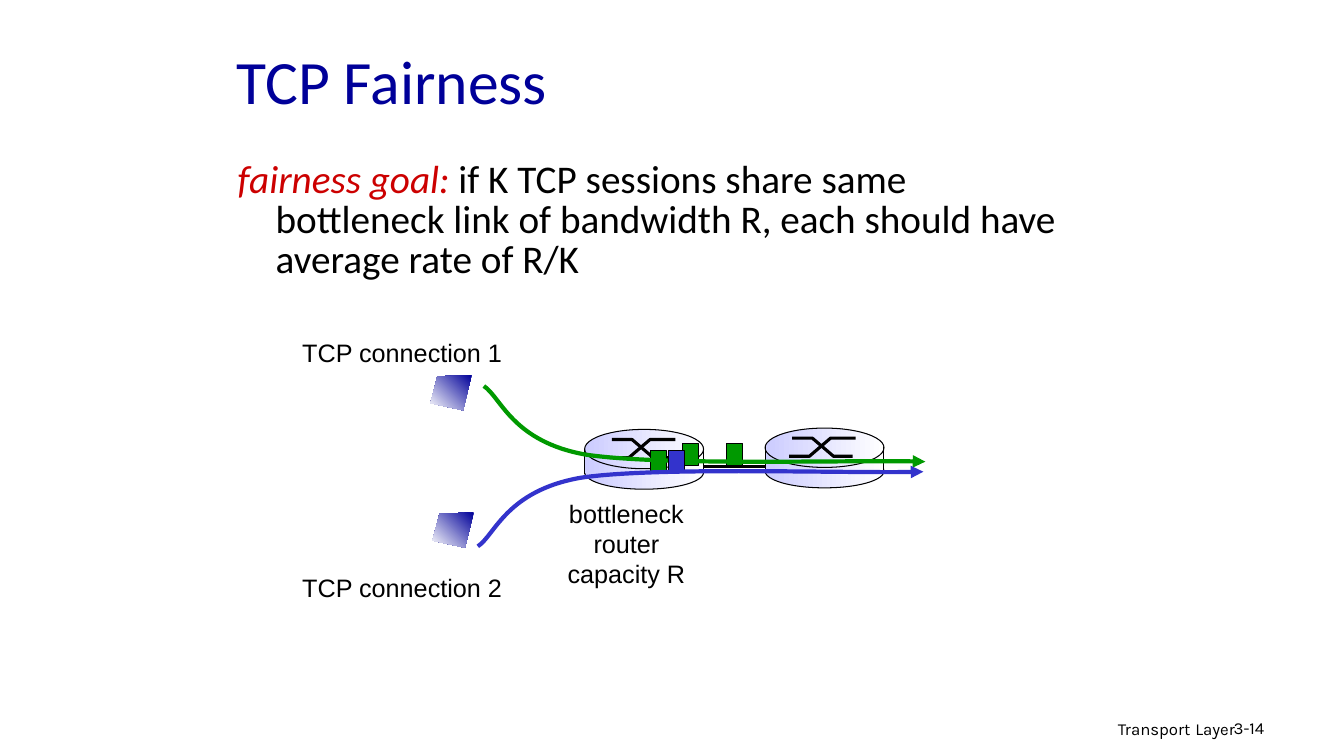
"""Build the TCP fairness slide: two connections sharing a bottleneck router."""
from dataclasses import dataclass
from typing import Optional

from lxml.etree import SubElement
from pptx import Presentation
from pptx.dml.color import RGBColor
from pptx.enum.shapes import MSO_CONNECTOR as Connector, MSO_SHAPE as Preset
from pptx.enum.text import MSO_ANCHOR as Anchor, MSO_AUTO_SIZE as AutoSize, PP_ALIGN as Align
from pptx.oxml.ns import qn
from pptx.util import Inches, Pt

COLUMNS, ROWS = 40, 22.5
CELL = Inches(1 / 3)
COLORS = {
    "black": "000000", "white": "FFFFFF", "lavender": "CCCCFF", "navy": "000099",
    "red": "CC0000", "green": "009900", "blue": "3333CC",
}
Point = tuple[float, float]


@dataclass(frozen=True)
class Span:
    text: str
    size: float
    font: str
    color: str = "black"
    italic: bool = False


@dataclass(frozen=True)
class Label:
    left: float
    top: float
    width: float
    height: float
    paragraphs: tuple[tuple[Span, ...], ...]
    align: Align = Align.LEFT
    anchor: Anchor = Anchor.TOP
    wrap: bool = True
    hanging: float = 0
    spacing: float = 1


@dataclass(frozen=True)
class Packet:
    left: float
    top: float
    color: str


@dataclass(frozen=True)
class Flow:
    points: tuple[Point, ...]
    color: str


def caption(*lines: str) -> tuple[tuple[Span, ...], ...]:
    return tuple((Span(line, 18, "Arial"),) for line in lines)


LABELS = (
    Label(24.39, 21.15, 12.66, 0.93, ((
        Span("Transport", 12, "Karla"), Span(" ", 14, "Karla"), Span("Layer", 12, "Karla")),),
        align=Align.RIGHT),
    Label(36.42, 21.21, 2.97, 0.9, ((Span("3-14", 12, "Karla"),),)),
    Label(6.75, 0.51, 25.5, 3.75, ((Span("TCP Fairness", 44, "Calibri", "navy"),),),
          anchor=Anchor.MIDDLE),
    Label(6.78, 4.65, 25, 7.2, ((
        Span("fairness goal:", 28, "Calibri", "red", True),
        Span(" if K TCP sessions share same bottleneck link of bandwidth R, "
             "each should have average rate of R/K", 28, "Calibri")),),
        hanging=1.13, spacing=0.85),
    Label(8.7, 9.9, 6.57, 1.2, caption("TCP connection 1"), wrap=False),
    Label(8.7, 16.89, 6.57, 1.2, caption("TCP connection 2"), wrap=False),
    Label(16.59, 14.67, 4.11, 3, caption("bottleneck", "router", "capacity R"),
          align=Align.CENTER, wrap=False),
)
ROUTERS: tuple[Point, ...] = ((17.4, 12.78), (22.77, 12.74))
ROUTER_WIDTH = 3.54
ROUTER_PARTS = (
    (Preset.OVAL, 0.78, 1, "black"),
    (Preset.RECTANGLE, 0.69, 0.6, None),
    (Preset.OVAL, 0, 1.17, "black"),
)
CROSSING = (
    ((0.72, 0.84), (1.32, 0.84), (1.95, 0.3), (2.7, 0.3)),
    ((0.81, 0.3), (1.41, 0.3), (2.04, 0.84), (2.61, 0.84)),
)
SCREENS: tuple[Point, ...] = ((12.81, 11.16), (12.87, 15.25))
SCREEN_OUTLINE = ((1.23, 0), (0.21, 0.04), (0, 0.84), (0.97, 1.05))
GREEN_PACKETS = (
    Packet(21.63, 13.2, "green"), Packet(19.35, 13.41, "green"), Packet(20.31, 13.2, "green"))
BLUE_PACKET = Packet(19.89, 13.41, "blue")
GREEN_FLOW = Flow((
    (14.4, 11.49), (14.91, 11.82), (15.24, 13.14), (17.43, 13.53),
    (19.62, 13.86), (25.44, 13.68), (27.54, 13.74)), "green")
BLUE_FLOW = Flow((
    (14.22, 16.26), (14.73, 15.93), (15.06, 14.61), (17.28, 14.22),
    (19.47, 13.89), (25.35, 14.1), (27.48, 14.04)), "blue")


def cells(count: float) -> int:
    return round(count * CELL)


def rgb(name: str) -> RGBColor:
    return RGBColor.from_string(COLORS[name])


def paint_line(shape, color: Optional[str], width: float = 0.75) -> None:
    if color is None:
        shape.line.fill.background()
        return
    shape.line.color.rgb = rgb(color)
    shape.line.width = Pt(width)


def paint_gradient(shape, start: str, end: str, angle: float) -> None:
    shape.fill.gradient()
    shape.fill.gradient_angle = angle
    for stop, color in zip(shape.fill.gradient_stops, (start, end)):
        stop.color.rgb = rgb(color)


def add_label(page, label: Label) -> None:
    box = page.shapes.add_textbox(
        *map(cells, (label.left, label.top, label.width, label.height)))
    frame = box.text_frame
    frame.word_wrap = label.wrap
    frame.vertical_anchor = label.anchor
    frame.auto_size = AutoSize.NONE if label.wrap else AutoSize.SHAPE_TO_FIT_TEXT
    for index, spans in enumerate(label.paragraphs):
        para = frame.add_paragraph() if index else frame.paragraphs[0]
        para.alignment = label.align
        para.line_spacing = label.spacing
        if label.hanging:
            properties = para._p.get_or_add_pPr()
            properties.set("marL", str(cells(label.hanging)))
            properties.set("indent", str(-cells(label.hanging)))
        for span in spans:
            run = para.add_run()
            run.text = span.text
            run.font.size = Pt(span.size)
            run.font.name = span.font
            run.font.italic = span.italic
            run.font.color.rgb = rgb(span.color)


def add_line(shapes, start: Point, end: Point, width: float) -> None:
    line = shapes.add_connector(Connector.STRAIGHT, *map(cells, start + end))
    paint_line(line, "black", width)
    SubElement(line._element.spPr, qn("a:effectLst"))


def add_outline(shapes, points: tuple[Point, ...], origin: Point = (0, 0), close: bool = False):
    corners = [(cells(origin[0] + x), cells(origin[1] + y)) for x, y in points]
    builder = shapes.build_freeform(*corners[0])
    builder.add_line_segments(corners[1:], close=close)
    outline = builder.convert_to_shape()
    outline.shadow.inherit = False
    if not close:
        outline.fill.background()
    return outline


def add_router(page, origin: Point) -> None:
    left, top = origin
    shapes = page.shapes.add_group_shape().shapes
    for preset, drop, height, edge in ROUTER_PARTS:
        part = shapes.add_shape(preset, *map(cells, (left, top + drop, ROUTER_WIDTH, height)))
        part.shadow.inherit = False
        paint_gradient(part, "lavender", "white", 0)
        paint_line(part, edge)
    for stroke in CROSSING:
        paint_line(add_outline(shapes, stroke, origin), "black", 2.25)
    for side in (left, left + ROUTER_WIDTH):
        add_line(shapes, (side, top + 0.57), (side, top + 1.33), 0.75)


def add_packet(page, packet: Packet) -> None:
    box = page.shapes.add_shape(
        Preset.RECTANGLE, *map(cells, (packet.left, packet.top, 0.48, 0.66)))
    box.shadow.inherit = False
    box.fill.solid()
    box.fill.fore_color.rgb = rgb(packet.color)
    paint_line(box, "black")


def add_flow(page, flow: Flow) -> None:
    curve = add_outline(page.shapes, flow.points)
    paint_line(curve, flow.color, 3)
    properties = curve._element.spPr
    SubElement(properties.find(qn("a:ln")), qn("a:tailEnd"), type="triangle")
    track = properties.find(".//" + qn("a:path"))
    segments = track.findall(qn("a:lnTo"))
    for first in range(0, len(segments), 3):
        bend = SubElement(track, qn("a:cubicBezTo"))
        for segment in segments[first:first + 3]:
            bend.append(segment[0])
            track.remove(segment)


def main() -> None:
    deck = Presentation()
    deck.slide_width, deck.slide_height = cells(COLUMNS), cells(ROWS)
    page = deck.slides.add_slide(deck.slide_layouts[6])
    for label in LABELS:
        add_label(page, label)
    add_line(page.shapes, (20.94, 13.89), (22.77, 13.89), 2.25)
    for origin in ROUTERS:
        add_router(page, origin)
    for packet in GREEN_PACKETS:
        add_packet(page, packet)
    add_flow(page, GREEN_FLOW)
    add_packet(page, BLUE_PACKET)
    add_flow(page, BLUE_FLOW)
    for origin in SCREENS:
        screen = add_outline(page.shapes, SCREEN_OUTLINE, origin, close=True)
        paint_gradient(screen, "navy", "white", 225)
        paint_line(screen, None)
    deck.save("out.pptx")


if __name__ == "__main__":
    main()
